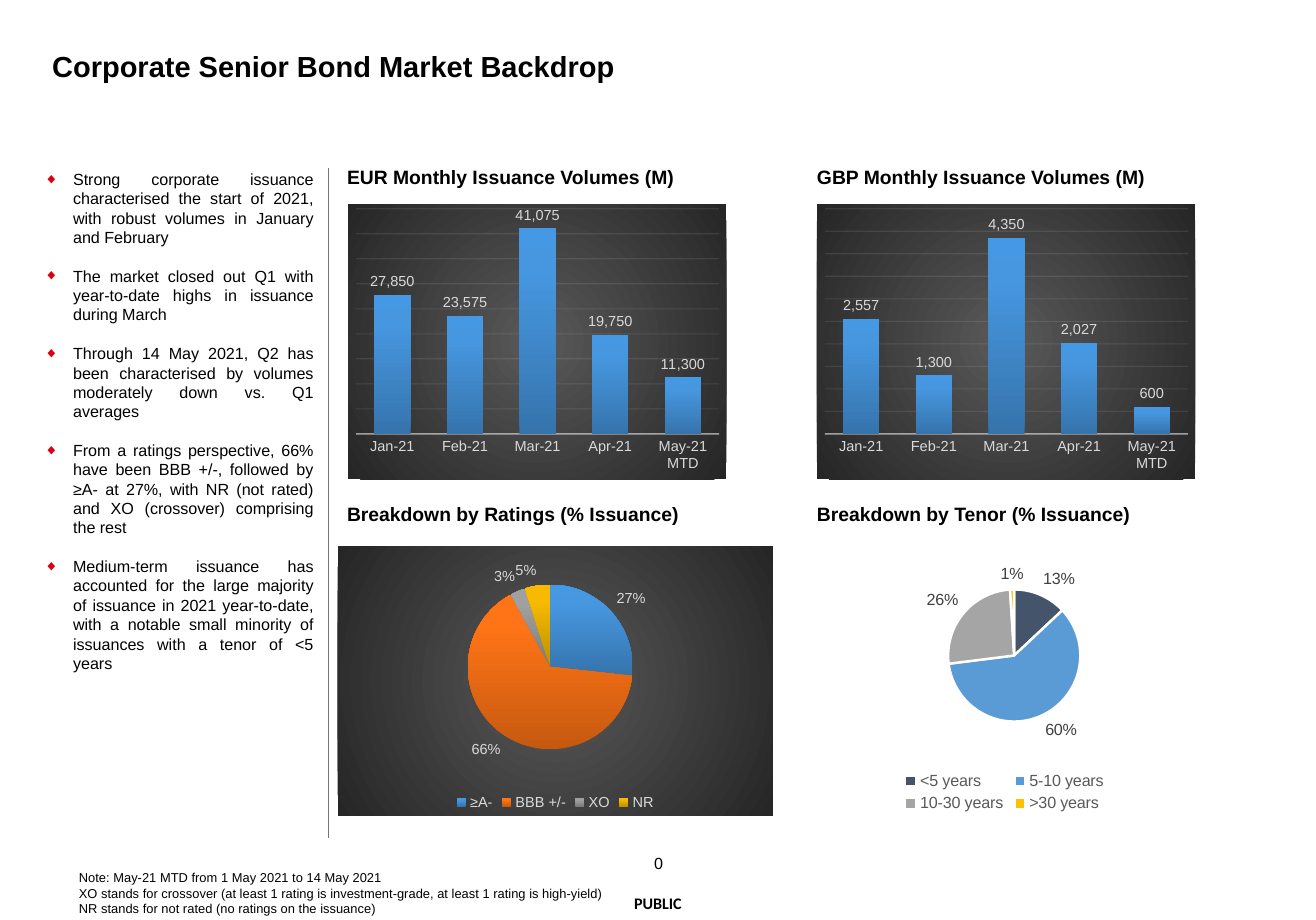
from lxml.etree import SubElement
from pptx import Presentation
from pptx.chart.data import CategoryChartData
from pptx.dml.color import RGBColor
from pptx.enum.chart import (XL_CHART_TYPE, XL_LABEL_POSITION, XL_LEGEND_POSITION,
                             XL_TICK_LABEL_POSITION, XL_TICK_MARK)
from pptx.enum.shapes import MSO_CONNECTOR
from pptx.enum.text import MSO_ANCHOR, PP_ALIGN
from pptx.oxml.ns import qn
from pptx.util import Emu, Pt

SCALE = 9144
COLORS = {
    "text": "000000", "rule": "767676", "bullet": "DB0011", "white": "FFFFFF",
    "pale": "D9D9D9", "axis": "F2F2F2", "legend": "595959", "label": "404040",
}
BACKDROP = [(0, "595959"), (100, "262626")]
BLUE = [(0, "3674AD"), (80, "4697E0"), (100, "4498E4")]
ORANGE = [(0, "C65910"), (80, "FF7416"), (100, "FF7517")]
GREY = [(0, "7B7B7B"), (80, "A0A0A0"), (100, "A1A1A1")]
GOLD = [(0, "BE8F00"), (80, "F7BA00"), (100, "F8BB00")]
TENOR_FILLS = ["44546A", "5B9BD5", "A5A5A5", "FFC000"]
MONTHS = ["Jan-21", "Feb-21", "Mar-21", "Apr-21", "May-21 MTD"]
COLUMNS = (299, 704)
HEADINGS = [
    ["EUR Monthly Issuance Volumes (M)", "GBP Monthly Issuance Volumes (M)"],
    ["Breakdown by Ratings (% Issuance)", "Breakdown by Tenor (% Issuance)"],
]
POINTS = [
    "Strong corporate issuance characterised the start of 2021, with robust volumes in January and February",
    "The market closed out Q1 with year-to-date highs in issuance during March",
    "Through 14 May 2021, Q2 has been characterised by volumes moderately down vs. Q1 averages",
    "From a ratings perspective, 66% have been BBB +/-, followed by ≥A- at 27%, with NR (not rated) "
    "and XO (crossover) comprising the rest",
    "Medium-term issuance has accounted for the large majority of issuance in 2021 year-to-date, "
    "with a notable small minority of issuances with a tenor of <5 years",
]
NOTES = [
    "Note: May-21 MTD from 1 May 2021 to 14 May 2021",
    "XO stands for crossover (at least 1 rating is investment-grade, at least 1 rating is high-yield)\n"
    "NR stands for not rated (no ratings on the issuance)",
]


def px(length):
    return Emu(length * SCALE)


def rgb(name):
    return RGBColor.from_string(COLORS.get(name, name))


def style_font(font, size, color="text", bold=False, family="Arial"):
    font.size, font.bold, font.name = Pt(size), bold, family
    font.color.rgb = rgb(color)


def add_text(page, frame, lines, size, bold=False, family="Arial",
             align=PP_ALIGN.LEFT, anchor=MSO_ANCHOR.TOP, spacing=1.0):
    box = page.shapes.add_textbox(*map(px, frame))
    text = box.text_frame
    text.word_wrap = True
    text.vertical_anchor = anchor
    text.margin_left = text.margin_top = text.margin_right = text.margin_bottom = 0
    for index, line in enumerate(lines):
        para = text.add_paragraph() if index else text.paragraphs[0]
        para.text = line
        para.alignment = align
        para.line_spacing = spacing
        for span in para.runs:
            style_font(span.font, size, "text", bold, family)
    return text


def add_bullets(page, frame, lines):
    text = add_text(page, frame, lines, 10, align=PP_ALIGN.JUSTIFY)
    for para in text.paragraphs:
        para.space_after = Pt(12)
        properties = para._p.get_or_add_pPr()
        properties.set("marL", str(px(25)))
        properties.set("indent", str(px(-25)))
        color = SubElement(properties, qn("a:buClr"))
        SubElement(color, qn("a:srgbClr"), val=COLORS["bullet"])
        SubElement(properties, qn("a:buSzPct"), val="90000")
        SubElement(properties, qn("a:buFont"), typeface="Arial")
        SubElement(properties, qn("a:buChar"), char="◆")


def add_rule(page, left, top, bottom):
    rule = page.shapes.add_connector(MSO_CONNECTOR.STRAIGHT, px(left), px(top), px(left), px(bottom))
    rule.line.color.rgb = rgb("rule")
    rule.line.width = Pt(1)
    SubElement(rule._element.spPr, qn("a:effectLst"))


def add_gradient(properties, stops, radial=False):
    gradient = SubElement(properties, qn("a:gradFill"), rotWithShape="1")
    stop_list = SubElement(gradient, qn("a:gsLst"))
    for position, color in stops:
        stop = SubElement(stop_list, qn("a:gs"), pos=str(position * 1000))
        SubElement(stop, qn("a:srgbClr"), val=color)
    if radial:
        circle = SubElement(gradient, qn("a:path"), path="circle")
        SubElement(circle, qn("a:fillToRect"), l="50000", t="50000", r="50000", b="50000")
    else:
        SubElement(gradient, qn("a:lin"), ang="16200000", scaled="0")


def add_backdrop(chart):
    space = chart._chartSpace
    properties = SubElement(space, qn("c:spPr"))
    space.find(qn("c:chart")).addnext(properties)
    add_gradient(properties, BACKDROP, radial=True)
    SubElement(SubElement(properties, qn("a:ln")), qn("a:noFill"))


def set_layout(element, frame, area, index, inner=False):
    for old in element.findall(qn("c:layout")):
        element.remove(old)
    layout = SubElement(element, qn("c:layout"))
    element.insert(index, layout)
    manual = SubElement(layout, qn("c:manualLayout"))
    if inner:
        SubElement(manual, qn("c:layoutTarget"), val="inner")
    for mode in ("xMode", "yMode"):
        SubElement(manual, qn(f"c:{mode}"), val="edge")
    left, top, width, height = frame
    shares = {"x": (area[0] - left) / width, "y": (area[1] - top) / height,
              "w": area[2] / width, "h": area[3] / height}
    for key, share in shares.items():
        SubElement(manual, qn(f"c:{key}"), val=f"{share:.3f}")


def style_line(line, color, width, opacity=100):
    line.color.rgb = rgb(color)
    line.width = Pt(width)
    if opacity < 100:
        paint = line._ln.find(".//" + qn("a:srgbClr"))
        SubElement(paint, qn("a:alpha"), val=str(opacity * 1000))


def add_chart(page, kind, frame, plot_area, categories, values, number_format, size, label_color):
    data = CategoryChartData(number_format=number_format)
    data.categories = categories
    data.add_series("Series 1", values)
    chart = page.shapes.add_chart(kind, *map(px, frame), data).chart
    chart.has_title = chart.has_legend = False
    style_font(chart.font, 10)
    series = chart.plots[0].series[0]
    labels = series.data_labels
    labels.show_value = True
    labels.number_format, labels.number_format_is_linked = number_format, False
    labels.position = XL_LABEL_POSITION.OUTSIDE_END
    style_font(labels.font, size, label_color)
    set_layout(chart._chartSpace.find(".//" + qn("c:plotArea")), frame, plot_area, 0, inner=True)
    return chart, series


def add_columns(page, left, values, top_value, step):
    chart, series = add_chart(page, XL_CHART_TYPE.COLUMN_CLUSTERED, (left, 176, 326, 237),
                              (left + 7, 180, 313, 194), MONTHS, values, "#,##0", 9, "pale")
    add_backdrop(chart)
    plot = chart.plots[0]
    plot.vary_by_categories = False
    plot.gap_width, plot.overlap = 100, -24
    add_gradient(series._element.get_or_add_spPr(), BLUE)
    for axis in (chart.category_axis, chart.value_axis):
        axis.major_tick_mark = axis.minor_tick_mark = XL_TICK_MARK.NONE
        style_font(axis.tick_labels.font, 9, "pale")
    style_line(chart.category_axis.format.line, "axis", 1, 54)
    scale = chart.value_axis
    scale.minimum_scale, scale.maximum_scale, scale.major_unit = 0, top_value, step
    scale.tick_label_position = XL_TICK_LABEL_POSITION.NONE
    scale.format.line.fill.background()
    style_line(scale.major_gridlines.format.line, "axis", 0.75, 10)


def add_pie(page, frame, plot_area, categories, values, fills, size, label_color, legend_color):
    chart, series = add_chart(page, XL_CHART_TYPE.PIE, frame, plot_area, categories, values,
                              "0%", size, label_color)
    chart.plots[0].vary_by_categories = True
    for index, fill in enumerate(fills):
        look = series.points[index].format
        if isinstance(fill, str):
            look.fill.solid()
            look.fill.fore_color.rgb = rgb(fill)
            style_line(look.line, "white", 1.5)
        else:
            add_gradient(series._element.findall(qn("c:dPt"))[index].get_or_add_spPr(), fill)
    chart.has_legend = True
    chart.legend.position = XL_LEGEND_POSITION.BOTTOM
    chart.legend.include_in_layout = False
    style_font(chart.legend.font, size, legend_color)
    return chart


def main():
    deck = Presentation()
    deck.slide_width, deck.slide_height = px(1134), px(793)
    page = deck.slides.add_slide(deck.slide_layouts[6])
    add_rule(page, 283, 145, 722)
    middle = {"align": PP_ALIGN.CENTER, "anchor": MSO_ANCHOR.MIDDLE}
    add_text(page, (558, 734, 19, 19), ["0"], 10, **middle)
    add_text(page, (532, 764, 70, 29), ["PUBLIC"], 10, True, "Calibri", **middle)
    add_text(page, (45, 45, 1043, 27), ["Corporate Senior Bond Market Backdrop"], 18, True, spacing=0.9)
    for top, row in zip((142, 433), HEADINGS):
        for left, heading in zip(COLUMNS, row):
            add_text(page, (left, top, 385, 20), [heading], 12, True)
    add_bullets(page, (38, 146, 232, 580), POINTS)
    add_columns(page, 300, [27850, 23575, 41075, 19750, 11300], 45000, 5000)
    add_columns(page, 704, [2557, 1300, 4350, 2027, 600], 5000, 500)
    tenor_frame = (679, 474, 375, 232)
    tenor = add_pie(page, tenor_frame, (817, 508, 114, 114),
                    ["<5 years", "5-10 years", "10-30 years", ">30 years"],
                    [0.13, 0.6, 0.26, 0.01], TENOR_FILLS, 10, "label", "legend")
    set_layout(tenor.legend._element, tenor_frame, (775, 662, 182, 42), 1)
    ratings = add_pie(page, (291, 471, 375, 232), (403, 504, 142, 142), ["≥A-", "BBB +/-", "XO", "NR"],
                      [0.27, 0.66, 0.03, 0.05], [BLUE, ORANGE, GREY, GOLD], 9, "pale", "pale")
    add_backdrop(ratings)
    add_text(page, (68, 750, 463, 40), NOTES, 8)
    deck.save("out.pptx")


if __name__ == "__main__":
    main()
